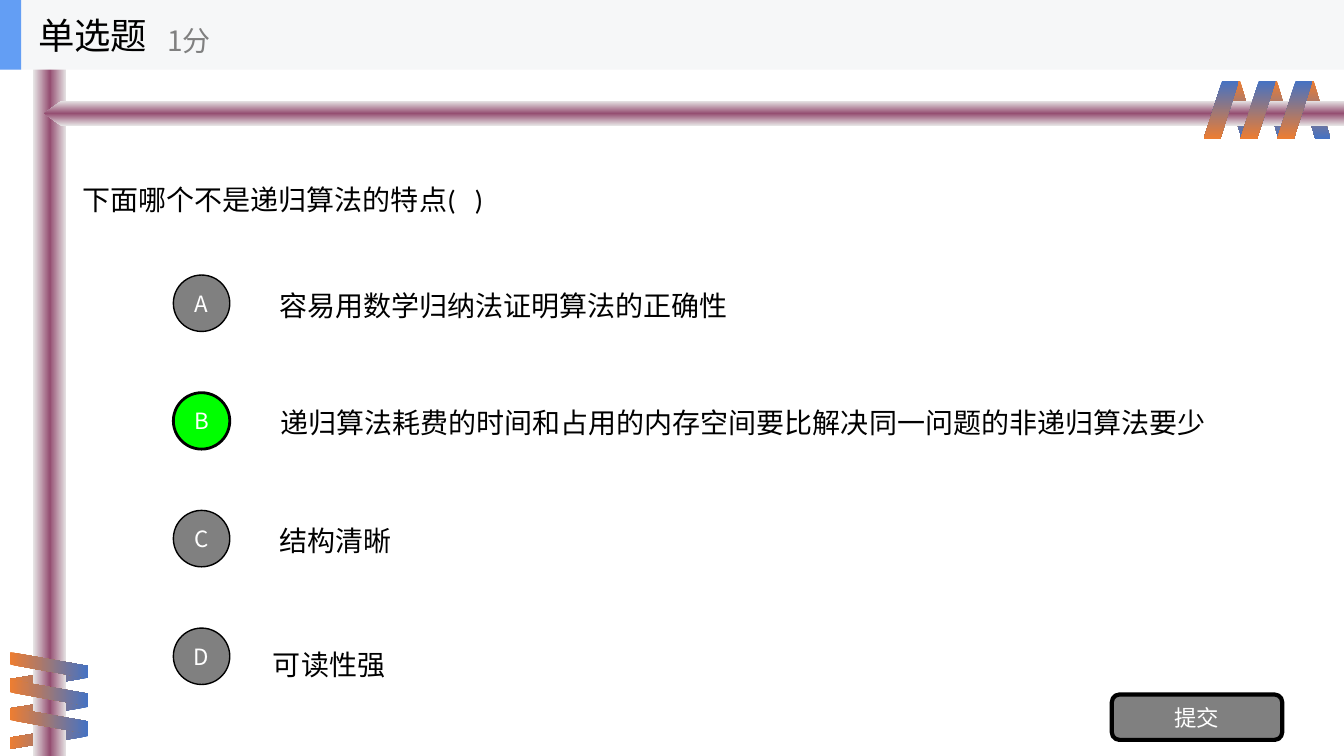
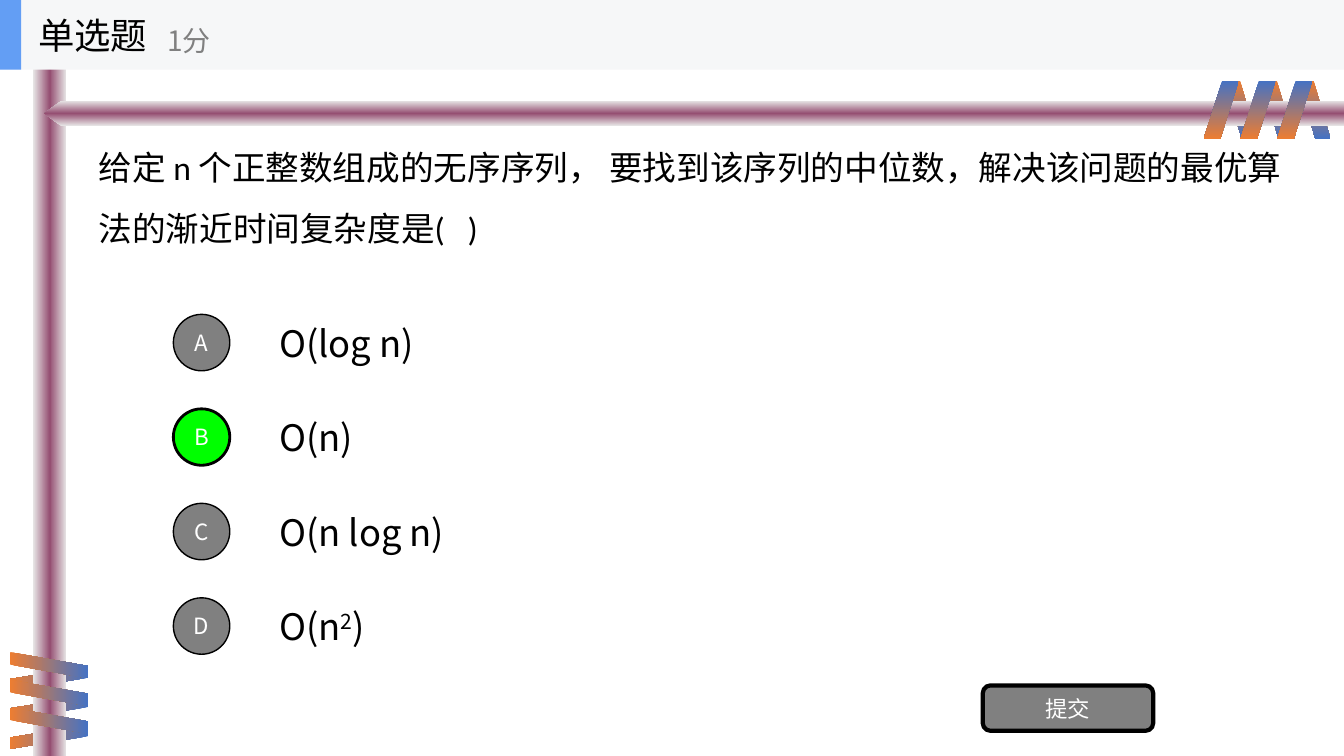
from copy import deepcopy

from pptx import Presentation
from pptx.dml.color import RGBColor
from pptx.enum.shapes import MSO_SHAPE
from pptx.enum.text import MSO_ANCHOR, PP_ALIGN
from pptx.oxml.ns import qn
from pptx.util import Inches, Pt

# Slide grid: one cell is a tenth of an inch
COLS, ROWS = 133.33, 75
CELL = Inches(0.1)

BLACK = RGBColor(0x00, 0x00, 0x00)
WHITE = RGBColor(0xFF, 0xFF, 0xFF)
GREY = RGBColor(0x80, 0x80, 0x80)
GREEN = RGBColor(0x00, 0xFF, 0x00)
HEADER = RGBColor(0xF6, 0xF7, 0xF8)
ACCENT = RGBColor(0x63, 0x9E, 0xF4)
BLUE = RGBColor(0x44, 0x72, 0xC4)
ORANGE = RGBColor(0xED, 0x7D, 0x31)
PLUM = RGBColor(0x95, 0x4F, 0x72)
SILVER = RGBColor(0xE7, 0xE6, 0xE6)

LATIN, CJK = "Calibri", "Noto Sans CJK SC"
DOWN, ACROSS = 270, 0  # gradient directions
LETTER_SIZE = 5.6


def cells(box):
    return [round(length * CELL) for length in box]


def write(frame, runs, size, color=BLACK, font=CJK, align=PP_ALIGN.LEFT, spacing=1.0):
    """Fill a frame with one paragraph; each run is (text, is_superscript)."""
    frame.word_wrap = True
    frame.vertical_anchor = MSO_ANCHOR.MIDDLE
    paragraph = frame.paragraphs[0]
    paragraph.alignment = align
    paragraph.line_spacing = spacing
    for text, raised in runs:
        run = paragraph.add_run()
        run.text = text
        run.font.size = Pt(size)
        run.font.name = font
        run.font.color.rgb = color
        props = run.font._element
        east_asian = props.makeelement(qn("a:ea"), {"typeface": CJK})
        props.find(qn("a:latin")).addnext(east_asian)
        if raised:
            props.set("baseline", "30000")


def add_text(slide, box, runs, size, **style):
    write(slide.shapes.add_textbox(*cells(box)).text_frame, runs, size, **style)


def add_block(slide, kind, box, fill=None, line=0):
    block = slide.shapes.add_shape(kind, *cells(box))
    block.shadow.inherit = False
    if fill is not None:
        block.fill.solid()
        block.fill.fore_color.rgb = fill
    if line:
        block.line.color.rgb = BLACK
        block.line.width = Pt(line)
    else:
        block.line.fill.background()
    return block


def add_gradient(slide, kind, box, colors, angle, adjust=None, flip=False, turn=0):
    block = add_block(slide, kind, box)
    block.fill.gradient()
    block.fill.gradient_angle = angle
    stop_list = block._element.spPr.find(qn("a:gradFill")).find(qn("a:gsLst"))
    while len(stop_list) < len(colors):
        stop_list.append(deepcopy(stop_list[0]))
    for i, (stop, color) in enumerate(zip(block.fill.gradient_stops, colors)):
        stop.color.rgb = color
        stop.position = i / (len(colors) - 1)
    if adjust is not None:
        block.adjustments[0] = adjust
    if flip:
        block._element.spPr.find(qn("a:xfrm")).set("flipH", "1")
    block.rotation = turn


def add_ribbons(slide, box, step, colors, **pose):
    """Three parallel bands, each one step (columns, rows) from the last."""
    left, top, width, height = box
    for i in range(3):
        place = (left + i * step[0], top + i * step[1], width, height)
        add_gradient(slide, MSO_SHAPE.PARALLELOGRAM, place, colors, DOWN,
                     adjust=0.53, **pose)


def add_frame(slide):
    pole = (SILVER, PLUM, SILVER)
    # Upright pole, wrapped by a coil
    add_ribbons(slide, (3.65, 63.4, 2.4, 7.8), (0, 2.9), (BLUE, ORANGE), flip=True, turn=90)
    add_gradient(slide, MSO_SHAPE.RECTANGLE, (3.3, 0, 3.3, ROWS), pole, ACROSS)
    add_ribbons(slide, (3.6, 62.1, 2.6, 7.8), (0, 2.75), (ORANGE, BLUE), turn=270)
    # Cross pole, wrapped by a coil
    add_ribbons(slide, (121.5, 8, 3.2, 5.8), (3.65, 0), (ORANGE, BLUE), flip=True)
    add_gradient(slide, MSO_SHAPE.PENTAGON, (4.4, 10, COLS - 4.4, 2.5), pole, DOWN,
                 adjust=0.68, flip=True)
    add_ribbons(slide, (119.4, 8, 3.5, 5.8), (3.65, 0), (BLUE, ORANGE))


def add_header(slide, box, kind, score):
    left, top, width, height = box
    add_block(slide, MSO_SHAPE.RECTANGLE, box, HEADER)
    add_block(slide, MSO_SHAPE.RECTANGLE, (left, top, 2.1, height), ACCENT)
    add_text(slide, (left + 2.8, top, 20.8, height), [(kind, False)], 26)
    add_text(slide, (left + 15.6, top + 1.2, 25, height - 1.3), [(score, False)], 20,
             color=GREY)


def add_options(slide, box, options, answer, **style):
    """One row per option: lettered circle, then text moved by (columns, rows)."""
    left, top, width, height = box
    row = height / len(options)
    for i, (letter, (runs, (dx, dy))) in enumerate(zip("ABCD", options)):
        middle = top + (i + 0.5) * row
        right = letter == answer
        circle = add_block(slide, MSO_SHAPE.OVAL,
                           (left, middle - LETTER_SIZE / 2, LETTER_SIZE, LETTER_SIZE),
                           GREEN if right else GREY, 2 if right else 1)
        frame = circle.text_frame
        frame.margin_left = frame.margin_right = 0
        write(frame, [(letter, False)], 16, WHITE, align=PP_ALIGN.CENTER)
        add_text(slide, (left + 9.5 + dx, middle - row / 2 + dy, width - 9.5, row),
                 runs, **style)


def add_submit(slide, left, top):
    button = add_block(slide, MSO_SHAPE.ROUNDED_RECTANGLE, (left, top, 16.9, 4.5), GREY, 3)
    write(button.text_frame, [("提交", False)], 16, WHITE, align=PP_ALIGN.CENTER)


def add_question(deck, question, question_box, question_size, options, options_box,
                 answer, submit_at, **option_style):
    slide = deck.slides.add_slide(deck.slide_layouts[6])
    add_frame(slide)
    add_text(slide, question_box, [(question, False)], question_size,
             font=LATIN, spacing=1.5)
    add_options(slide, options_box, options, answer, **option_style)
    add_submit(slide, *submit_at)
    add_header(slide, (0, 0, COLS, 6.9), "单选题", "1分")


def main():
    deck = Presentation()
    deck.slide_width, deck.slide_height = cells((COLS, ROWS))

    # Features of recursion
    add_question(
        deck, "下面哪个不是递归算法的特点(   )", (7.2, 10.6, 112.8, 16.6), 20,
        [([("容易用数学归纳法证明算法的正确性", False)], (0, -0.6)),
         ([("递归算法耗费的时间和占用的内存空间要比解决同一问题的非递归算法要少", False)],
          (0.1, -0.7)),
         ([("结构清晰", False)], (0, -0.7)),
         ([("可读性强", False)], (-0.6, 0))],
        (17.2, 24.25, 110, 46.7), "B", (110.3, 68.9),
        size=20, font=LATIN, spacing=1.5)

    # Complexity of finding the median
    level = (0, 0)
    add_question(
        deck,
        "给定 n 个正整数组成的无序序列， 要找到该序列的中位数，"
        "解决该问题的最优算法的渐近时间复杂度是(   )",
        (8.8, 6.9, 121.8, 23.4), 24,
        [([("O(log n)", False)], level),
         ([("O(n)", False)], level),
         ([("O(n log n)", False)], level),
         ([("O(n", False), ("2", True), (")", False)], level)],
        (17.2, 29.3, 102.8, 37.5), "B", (97.5, 68),
        size=26)

    deck.save("out.pptx")


if __name__ == "__main__":
    main()
